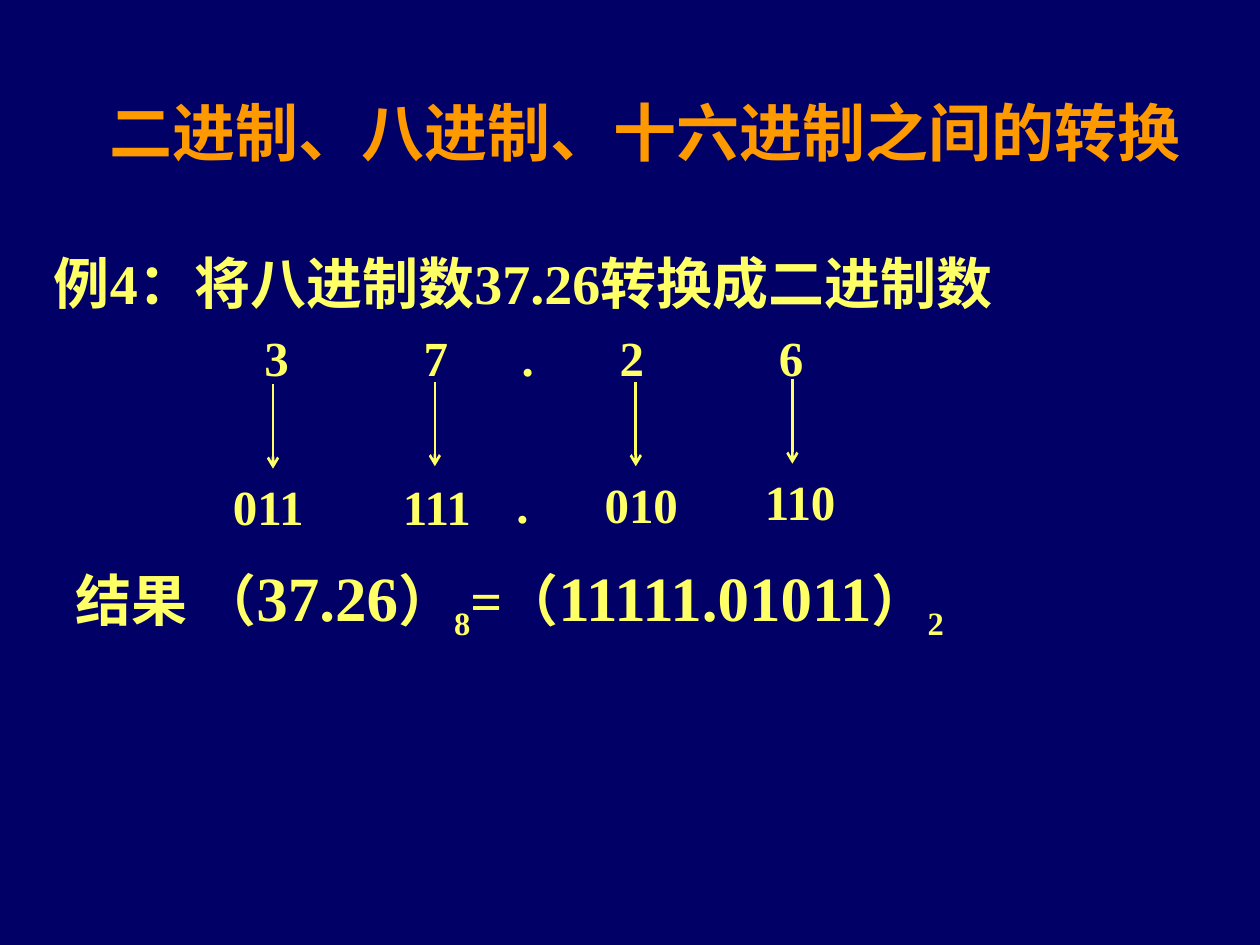
from dataclasses import dataclass

import pptx
import pptx.dml.color
import pptx.enum.shapes
import pptx.enum.text
import pptx.oxml
import pptx.oxml.ns
import pptx.util

Pt = pptx.util.Pt
Align = pptx.enum.text.PP_ALIGN
Anchor = pptx.enum.text.MSO_ANCHOR


@dataclass(frozen=True)
class Theme:
    back: str = "000066"
    title: str = "FF9900"
    text: str = "FFFF66"
    latin: str = "Times New Roman"
    asian: str = "Noto Sans CJK SC"
    large: float = 36
    body: float = 32
    small: float = 28
    line: float = 1.5


@dataclass(frozen=True)
class Run:
    text: str
    size: float
    sub: bool = False


@dataclass(frozen=True)
class Box:
    left: float
    top: float
    width: float
    height: float
    runs: tuple[Run, ...]
    wrap: bool = True
    tabs: tuple[float, ...] = ()


@dataclass(frozen=True)
class Group:
    """Three bits below one octal digit, with the arrow between them."""
    bits: str
    left: float
    top: float
    arrow: float
    start: float


THEME = Theme()
ARROW = 48.25
HEIGHT = 41

TITLE = Box(41.75, 30.25, 654, 90,
            (Run("二进制、八进制、十六进制之间的转换", THEME.large),))

BOXES = (
    Box(23.75, 138.25, 654, 46,
        (Run("例4：将八进制数37.26转换成二进制数", THEME.body),)),
    Box(144, 183.6, 402, HEIGHT,
        (Run("3\t7\t.\t2\t6", THEME.small),), tabs=(91, 147, 203, 294)),
    Box(288, 267.85, 42, HEIGHT, (Run(".", THEME.small),)),
    Box(36, 315.35, 642, 55.5, (
        Run("结果 （", THEME.body),
        Run("37.26", THEME.large),
        Run("）", THEME.body),
        Run("8", THEME.body, True),
        Run("=（", THEME.body),
        Run("11111.01011", THEME.large),
        Run("）", THEME.body),
        Run("2", THEME.body, True),
    )),
)

GROUPS = (
    Group("011", 126, 268.75, 156, 219.6),
    Group("111", 223.2, 268.75, 248.5, 218.2),
    Group("010", 338.4, 267.6, 363.3, 218.2),
    Group("110", 430, 265.7, 452.8, 216.75),
)


def apply(target: object, values: dict) -> None:
    for name, value in values.items():
        setattr(target, name, value)


def tint(code: str) -> pptx.dml.color.RGBColor:
    return pptx.dml.color.RGBColor.from_string(code)


def add(parent, tag: str, **values: str):
    """Append a child element with the given attributes."""
    child = pptx.oxml.ns.qn(tag)
    node = parent.makeelement(child, values)
    parent.append(node)
    return node


def write(slide, box: Box, color: str = THEME.text, font: str = THEME.latin,
          align=Align.LEFT, anchor=Anchor.TOP) -> None:
    shape = slide.shapes.add_textbox(
        *map(Pt, (box.left, box.top, box.width, box.height)))
    frame = shape.text_frame
    apply(frame, {"word_wrap": box.wrap, "vertical_anchor": anchor})
    para = frame.paragraphs[0]
    para.alignment = align
    if box.tabs:
        stops = add(para._p.get_or_add_pPr(), "a:tabLst")
        for stop in box.tabs:
            add(stops, "a:tab", pos=str(Pt(stop)), algn="l")
    for item in box.runs:
        run = para.add_run()
        run.text = item.text
        apply(run.font, {"size": Pt(item.size), "bold": True, "name": font})
        run.font.color.rgb = tint(color)
        props = run._r.get_or_add_rPr()
        add(props, "a:ea", typeface=THEME.asian)
        if item.sub:
            props.set("baseline", "-25000")


def point(slide, x: float, top: float) -> None:
    """Draw one downward arrow."""
    line = slide.shapes.add_connector(
        pptx.enum.shapes.MSO_CONNECTOR.STRAIGHT,
        *map(Pt, (x, top, x, top + ARROW)))
    line.line.width = Pt(THEME.line)
    line.line.color.rgb = tint(THEME.text)
    add(line.line._get_or_add_ln(), "a:tailEnd", type="arrow")
    add(line._element.spPr, "a:effectLst")


def main() -> None:
    deck = pptx.Presentation()
    apply(deck, {"slide_width": Pt(720), "slide_height": Pt(540)})
    slide = deck.slides.add_slide(deck.slide_layouts[6])
    fill = slide.background.fill
    fill.solid()
    fill.fore_color.rgb = tint(THEME.back)

    write(slide, TITLE, THEME.title, THEME.asian, Align.CENTER, Anchor.MIDDLE)
    for box in BOXES:
        write(slide, box)
    for group in GROUPS:
        point(slide, group.arrow, group.start)
        write(slide, Box(group.left, group.top, 56.4, HEIGHT,
                         (Run(group.bits, THEME.small),), wrap=False))
    deck.save("out.pptx")


if __name__ == "__main__":
    main()
